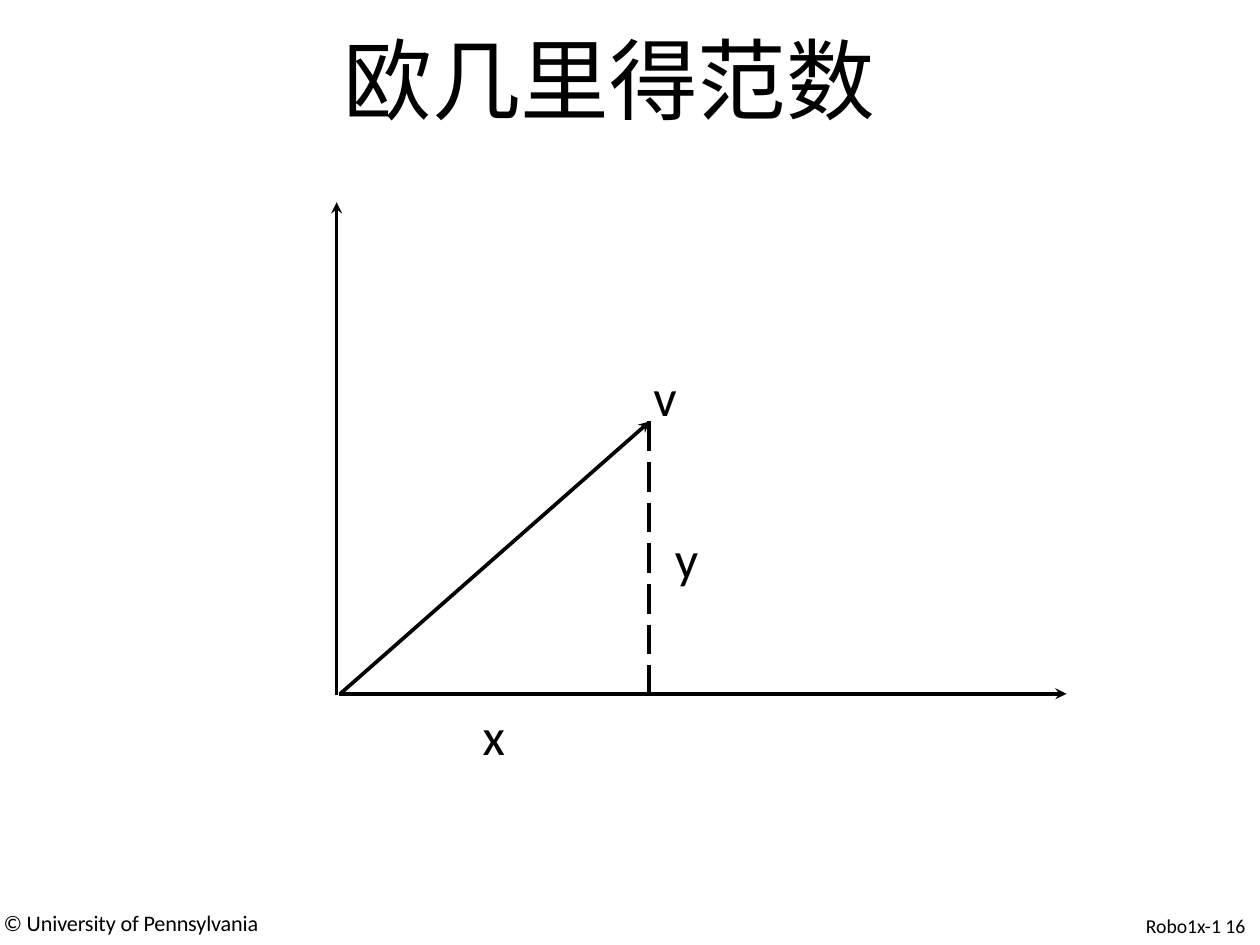
import math
import pptx
import pptx.dml.color
import pptx.enum.dml
import pptx.enum.shapes
import pptx.enum.text
import pptx.oxml
import pptx.oxml.ns
import pptx.util
from dataclasses import dataclass

ALIGN = pptx.enum.text.PP_ALIGN


@dataclass(frozen=True)
class Theme:
    font: str = "Calibri"
    ink: str = "000000"
    title: int = 72
    label: int = 42
    credit: int = 18
    page: int = 16
    line: int = 3


THEME = Theme()
INK = pptx.dml.color.RGBColor.from_string(THEME.ink)
WIDTH, HEIGHT = pptx.util.Inches(14.22), pptx.util.Inches(10.67)

# All places are percentages of the slide's width and height.
BASE, DROP = 73.42, 51.52
TIP = (51.57, 44.6)
ARROWS = [  # start, tip
    ((26.72, 73.55), (26.72, 21.4)),
    ((26.88, BASE), (84.65, BASE)),
    ((27, BASE), TIP),
]
DASHED = ((DROP, TIP[1]), (DROP, BASE))
# Arrowhead in shares of the slide's width: length, notch depth, half breadth.
HEAD, NOTCH, BREADTH = 0.9, 0.58, 0.44
LABEL_SIZE = (4, 6.7)
LABELS = [("v", 52.77, 38.6), ("y", 54.5, 55.7), ("x", 39.2, 74.45)]  # centre, top
TEXTS = [  # wording, left, top, width, height, size, exact line spacing, tracking
    ("欧几里得范数", 27.3, 2.6, 45, 11.4, THEME.title, None, -10),
    ("© University of Pennsylvania", 0.28, 96.65, 21, 2.7, THEME.credit, 18.1, -10),
    ("Robo1x-1 16", 90.95, 97.1, 8.7, 2.4, THEME.page, 16.1, 0),
]


def place(point):
    return round(WIDTH * point[0] / 100), round(HEIGHT * point[1] / 100)


def add_text(page, wording, left, top, width, height, size,
             spacing=None, tracking=0, align=ALIGN.LEFT):
    box = page.shapes.add_textbox(*place((left, top)), *place((width, height)))
    frame = box.text_frame
    frame.word_wrap = True
    frame.margin_left = frame.margin_right = frame.margin_top = frame.margin_bottom = 0
    frame.text = wording
    para = frame.paragraphs[0]
    para.alignment = align
    if spacing:
        para.line_spacing = pptx.util.Pt(spacing)
    span = para.runs[0]
    span.font.name, span.font.size = THEME.font, pptx.util.Pt(size)
    span.font.color.rgb = INK
    if tracking:
        span.font._element.set("spc", str(tracking))


def add_line(page, start, end):
    line = page.shapes.add_connector(
        pptx.enum.shapes.MSO_CONNECTOR.STRAIGHT, *start, *end)
    line.line.width = pptx.util.Pt(THEME.line)
    line.line.color.rgb = INK
    effects = pptx.oxml.parse_xml(f'<a:effectLst {pptx.oxml.ns.nsdecls("a")}/>')
    line._element.spPr.append(effects)
    return line


def add_arrow(page, start, tip):
    """Draw a shaft that ends in the notch of a barbed head."""
    angle = math.atan2(tip[1] - start[1], tip[0] - start[0])

    def behind(back, side):
        back, side = WIDTH * back / 100, WIDTH * side / 100
        return (round(tip[0] - back * math.cos(angle) - side * math.sin(angle)),
                round(tip[1] - back * math.sin(angle) + side * math.cos(angle)))

    notch = behind(NOTCH, 0)
    add_line(page, start, notch)
    outline = page.shapes.build_freeform(*tip)
    outline.add_line_segments([behind(HEAD, BREADTH), notch, behind(HEAD, -BREADTH)])
    head = outline.convert_to_shape()
    head.shadow.inherit = False
    head.fill.solid()
    head.fill.fore_color.rgb = INK
    head.line.fill.background()


def main():
    deck = pptx.Presentation()
    deck.slide_width, deck.slide_height = WIDTH, HEIGHT
    page = deck.slides.add_slide(deck.slide_layouts[6])
    for start, tip in ARROWS:
        add_arrow(page, place(start), place(tip))
    drop = add_line(page, *map(place, DASHED))
    drop.line.dash_style = pptx.enum.dml.MSO_LINE.LONG_DASH
    for wording, centre, top in LABELS:
        add_text(page, wording, centre - LABEL_SIZE[0] / 2, top, *LABEL_SIZE,
                 THEME.label, align=ALIGN.CENTER)
    for text in TEXTS:
        add_text(page, *text)
    deck.save("out.pptx")


if __name__ == "__main__":
    main()
